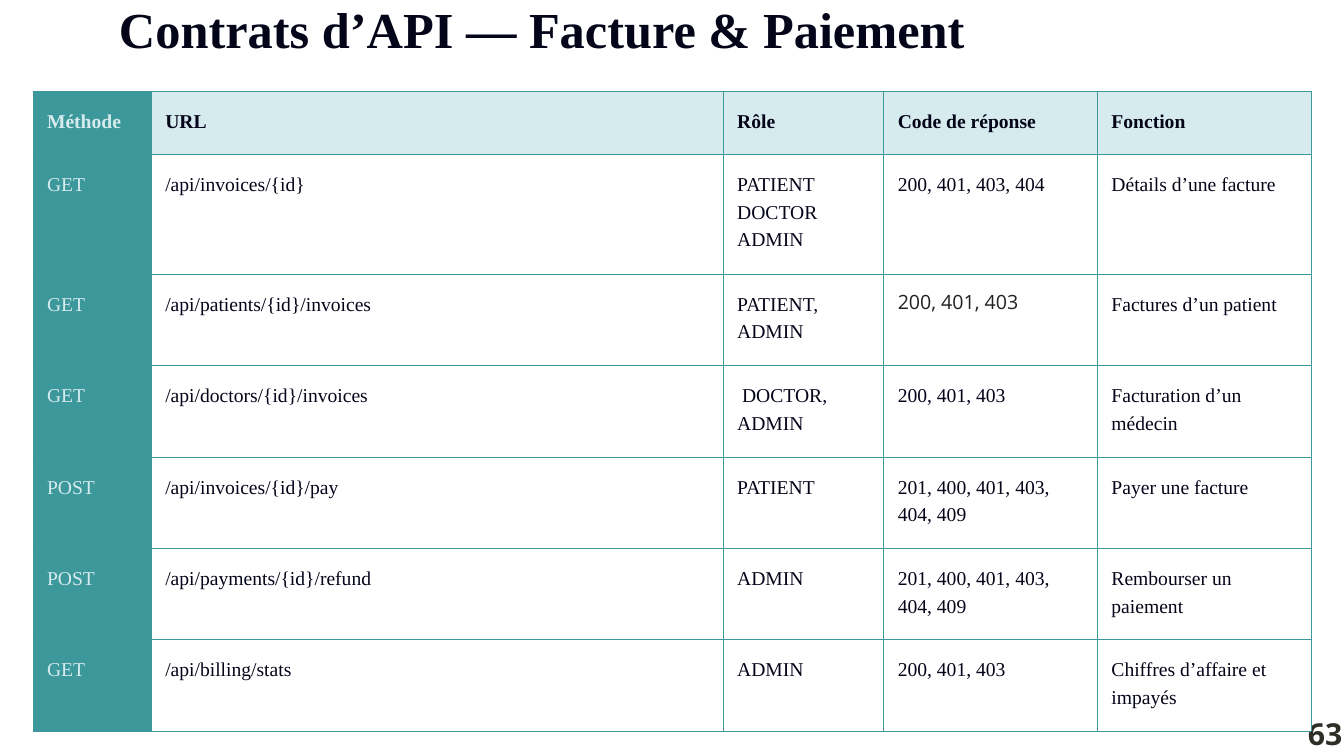
from lxml import etree
from pptx import Presentation
from pptx import util as u
from pptx.dml.color import RGBColor
from pptx.enum import text
from pptx.oxml import ns

COLORS = {
    "ink": "05051A",
    "teal": "3D989B",
    "mist": "D6EBEE",
    "white": "FFFFFF",
    "grey": "222222",
    "number": "2E2D26",
}
SERIF, SANS = "Times New Roman", "Open Sans"
COLUMN_WIDTHS = [1.76, 8.51, 2.39, 3.18, 3.18]
ROW_HEIGHTS = [0.94, 1.78] + [1.36] * 5
CONTRACTS = [
    ["Méthode", "URL", "Rôle", "Code de réponse", "Fonction"],
    ["GET", "/api/invoices/{id}", "PATIENT DOCTOR ADMIN", "200, 401, 403, 404", "Détails d’une facture"],
    ["GET", "/api/patients/{id}/invoices", "PATIENT, ADMIN", "200, 401, 403", "Factures d’un patient"],
    ["GET", "/api/doctors/{id}/invoices", " DOCTOR, ADMIN", "200, 401, 403", "Facturation d’un médecin"],
    ["POST", "/api/invoices/{id}/pay", "PATIENT", "201, 400, 401, 403, 404, 409", "Payer une facture"],
    ["POST", "/api/payments/{id}/refund", "ADMIN", "201, 400, 401, 403, 404, 409", "Rembourser un paiement"],
    ["GET", "/api/billing/stats", "ADMIN", "200, 401, 403", "Chiffres d’affaire et impayés"],
]
SANS_CELL = (2, 3)


def write(frame, content, size, spacing, color, font=SERIF, bold=False, align=text.PP_ALIGN.LEFT):
    """Set the only paragraph of a text frame and format its run."""
    frame.text = content
    paragraph = frame.paragraphs[0]
    paragraph.alignment = align
    paragraph.line_spacing = u.Pt(spacing)
    paragraph.space_before = u.Pt(0)
    run_font = paragraph.runs[0].font
    run_font.name, run_font.size, run_font.bold = font, u.Pt(size), bold
    run_font.color.rgb = RGBColor.from_string(COLORS[color])


def set_margins(target, margin):
    """Give a cell or text frame the same margin on every side."""
    target.margin_left = target.margin_right = u.Inches(margin)
    target.margin_top = target.margin_bottom = u.Inches(margin)


def set_borders(cell, color, width):
    """Draw a solid line on the four sides of a cell."""
    properties = cell._tc.get_or_add_tcPr()
    for side in ("lnL", "lnR", "lnT", "lnB"):
        line = etree.SubElement(properties, ns.qn(f"a:{side}"), w=str(u.Pt(width)))
        fill = etree.SubElement(line, ns.qn("a:solidFill"))
        etree.SubElement(fill, ns.qn("a:srgbClr"), val=COLORS[color])


def place_title(slide, left, top, width, height):
    """Move the title placeholder to its box and fill it."""
    title = slide.shapes.title
    title.left, title.top = u.Inches(left), u.Inches(top)
    title.width, title.height = u.Inches(width), u.Inches(height)
    frame = title.text_frame
    set_margins(frame, 0)
    frame.word_wrap = True
    frame.auto_size = text.MSO_AUTO_SIZE.NONE
    frame.vertical_anchor = text.MSO_ANCHOR.TOP
    write(frame, "Contrats d’API — Facture & Paiement", 54, 64.8, "ink", bold=True)


def place_page_number(slide, left, top, width, height):
    """Add the page number in the given box."""
    box = slide.shapes.add_textbox(u.Inches(left), u.Inches(top), u.Inches(width), u.Inches(height))
    frame = box.text_frame
    set_margins(frame, 0)
    frame.word_wrap = False
    frame.auto_size = text.MSO_AUTO_SIZE.SHAPE_TO_FIT_TEXT
    write(frame, "63", 32.4, 45.3, "number", SANS, True, text.PP_ALIGN.CENTER)


def format_cell(cell, content, row, column):
    """Fill one cell according to its row and column."""
    is_header, is_method = row == 0, column == 0
    set_margins(cell, 0.21)
    set_borders(cell, "teal", 1)
    fill = "teal" if is_method else "mist" if is_header else "white"
    cell.fill.solid()
    cell.fill.fore_color.rgb = RGBColor.from_string(COLORS[fill])
    color, font = ("mist" if is_method else "ink"), SERIF
    if (row, column) == SANS_CELL:
        color, font = "grey", SANS
    write(cell.text_frame, content, 21, 29.4, color, font, is_header)


def place_contract_table(slide, left, top, width, height):
    """Add the table of API contracts in the given box."""
    frame = slide.shapes.add_table(
        len(CONTRACTS), len(COLUMN_WIDTHS),
        u.Inches(left), u.Inches(top), u.Inches(width), u.Inches(height),
    )
    table = frame.table
    for column, column_width in zip(table.columns, COLUMN_WIDTHS):
        column.width = u.Inches(column_width)
    for row, row_height in zip(table.rows, ROW_HEIGHTS):
        row.height = u.Inches(row_height)
    for row, contract in enumerate(CONTRACTS):
        for column, content in enumerate(contract):
            format_cell(table.cell(row, column), content, row, column)


def main():
    """Build and save the slide."""
    presentation = Presentation()
    presentation.slide_width, presentation.slide_height = u.Inches(20), u.Inches(11.25)
    slide = presentation.slides.add_slide(presentation.slide_layouts[5])
    place_page_number(slide, 19.44, 10.56, 0.56, 0.63)
    place_title(slide, 1.77, -0.03, 18.57, 0.93)
    place_contract_table(slide, 0.49, 1.36, sum(COLUMN_WIDTHS), sum(ROW_HEIGHTS))
    presentation.save("out.pptx")


if __name__ == "__main__":
    main()
